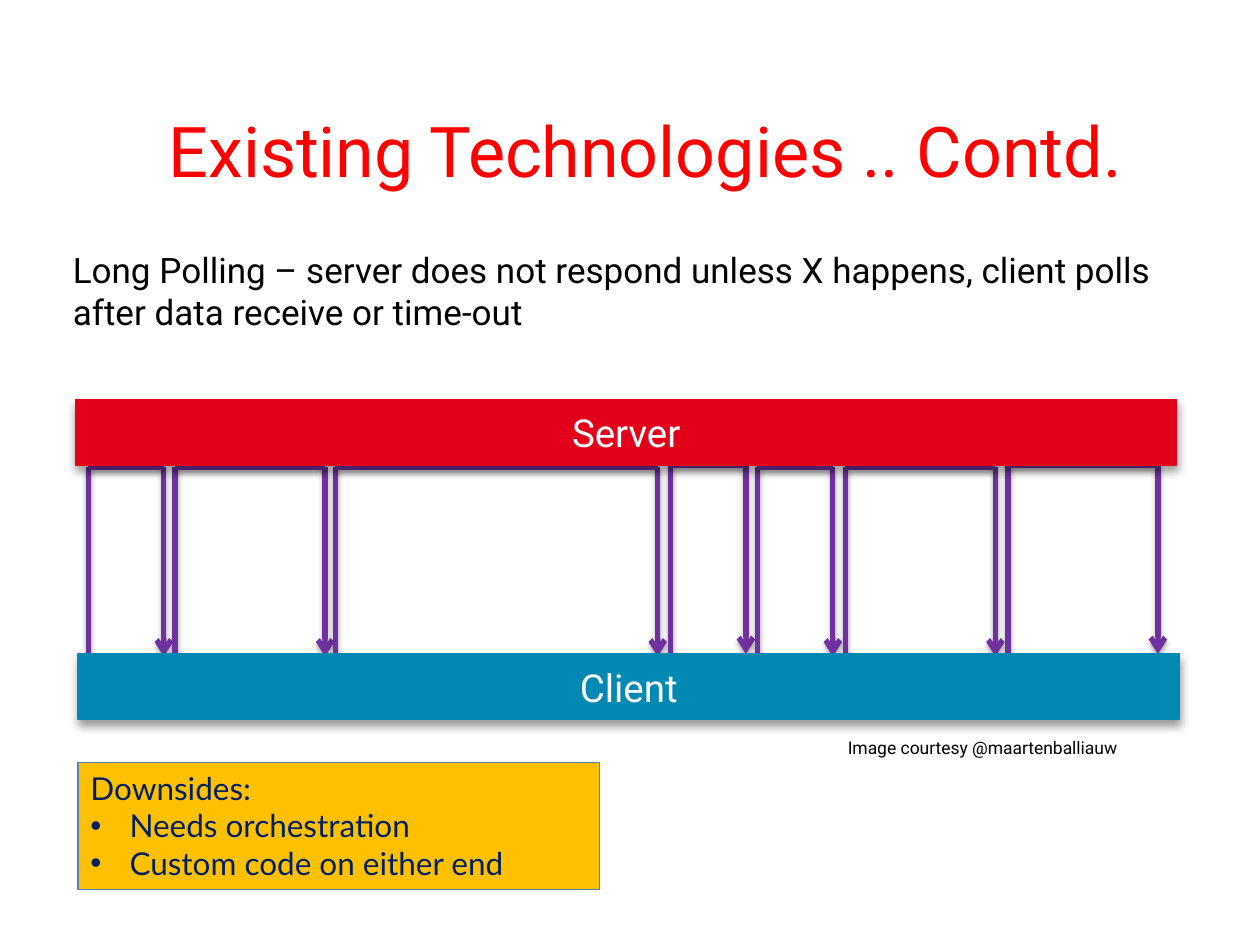
import pptx
import pptx.util
import pptx.dml.color
import pptx.enum.shapes
import pptx.enum.text
import pptx.oxml
import pptx.oxml.ns

RGBColor = pptx.dml.color.RGBColor
Inches = pptx.util.Inches
Pt = pptx.util.Pt
Align = pptx.enum.text.PP_ALIGN
Anchor = pptx.enum.text.MSO_ANCHOR
Rectangle = pptx.enum.shapes.MSO_SHAPE.RECTANGLE
Straight = pptx.enum.shapes.MSO_CONNECTOR.STRAIGHT

RED = RGBColor(0xFF, 0x00, 0x00)
BLACK = RGBColor(0x00, 0x00, 0x00)
WHITE = RGBColor(0xFF, 0xFF, 0xFF)
PURPLE = RGBColor(0x70, 0x30, 0xA0)
TEAL = RGBColor(0x01, 0x89, 0xB4)
CRIMSON = RGBColor(0xE2, 0x00, 0x1A)
AMBER = RGBColor(0xFF, 0xC0, 0x00)
BLUE = RGBColor(0x4F, 0x81, 0xBD)
NAVY = RGBColor(0x00, 0x20, 0x60)

TITLE = "Existing Technologies .. Contd."
SUMMARY = ("Long Polling – server does not respond unless X happens, "
           "client polls after data receive or time-out")
CREDIT = "Image courtesy @maartenballiauw"
DOWNSIDES = ["Downsides:", "Needs orchestration", "Custom code on either end"]

BARS = [("Client", 0.62, 5.19, TEAL), ("Server", 0.6, 3.17, CRIMSON)]
BAR_WIDTH, BAR_HEIGHT = 8.74, 0.52
POLLS = [
    (0.7, 1.3, 3.71),
    (1.39, 2.58, 3.71),
    (2.66, 5.22, 3.71),
    (5.32, 5.92, 3.69),
    (6.01, 6.61, 3.71),
    (6.71, 7.9, 3.71),
    (8, 9.19, 3.69),
]
POLL_HEIGHT = 1.5
LINE_SHADOW = (35, 3.1, 1.8)
BAR_SHADOW = (40, 5.2, 3)

FORMATS = {
    "title": {"size": Pt(40), "name": "Roboto", "color": RED},
    "summary": {"size": Pt(20), "name": "Roboto", "color": BLACK},
    "credit": {"size": Pt(10), "name": "Roboto", "color": BLACK},
    "bar": {"size": Pt(22), "name": "Roboto", "color": WHITE},
    "downsides": {"size": Pt(18), "name": "Lato", "color": NAVY},
}


def write(box, lines, style, align=Align.LEFT, anchor=Anchor.TOP, bullets_from=None):
    frame = box.text_frame
    frame.word_wrap = True
    frame.vertical_anchor = anchor
    frame.text = "\n".join(lines)
    for number, para in enumerate(frame.paragraphs):
        para.alignment = align
        if bullets_from is not None and number >= bullets_from:
            add_bullet(para)
        for span in para.runs:
            for name, value in FORMATS[style].items():
                if name == "color":
                    span.font.color.rgb = value
                else:
                    setattr(span.font, name, value)


def add_bullet(para):
    properties = para._p.get_or_add_pPr()
    properties.set("marL", str(Inches(0.31)))
    properties.set("indent", str(-Inches(0.31)))
    namespace = pptx.oxml.ns.nsdecls("a")
    for element in ('buFont %s typeface="Arial"', 'buChar %s char="•"'):
        properties.append(pptx.oxml.parse_xml(f"<a:{element % namespace}/>"))


def add_shadow(shape, opacity, blur, distance):
    shape._element.spPr.append(pptx.oxml.parse_xml(
        f'<a:effectLst {pptx.oxml.ns.nsdecls("a")}>'
        f'<a:outerShdw blurRad="{Pt(blur)}" dist="{Pt(distance)}" dir="5400000" rotWithShape="0">'
        f'<a:srgbClr val="{BLACK}"><a:alpha val="{opacity * 1000}"/></a:srgbClr>'
        '</a:outerShdw></a:effectLst>'))


def add_box(page, left, top, width, height, fill, outline):
    box = page.shapes.add_shape(Rectangle, *map(Inches, (left, top, width, height)))
    box.fill.solid()
    box.fill.fore_color.rgb = fill
    box.line.color.rgb = outline
    box.line.width = Pt(0.75)
    return box


def add_poll(page, left, right, top):
    group = page.shapes.add_group_shape()
    bottom = top + POLL_HEIGHT
    sides = [
        (left, top, left, bottom, False),
        (right, top, right, bottom, True),
        (left, top, right, top, False),
    ]
    for *ends, has_arrow in sides:
        line = group.shapes.add_connector(Straight, *map(Inches, ends))
        line.line.color.rgb = PURPLE
        line.line.width = Pt(3)
        if has_arrow:
            line.line._get_or_add_ln().append(pptx.oxml.parse_xml(
                f'<a:tailEnd {pptx.oxml.ns.nsdecls("a")} type="arrow"/>'))
        add_shadow(line, *LINE_SHADOW)


def add_text(page, left, top, width, height, text, style):
    box = page.shapes.add_textbox(*map(Inches, (left, top, width, height)))
    write(box, [text], style)


def main():
    deck = pptx.Presentation()
    deck.slide_width, deck.slide_height = Inches(10), Inches(7.5)
    page = deck.slides.add_slide(deck.slide_layouts[5])

    title = page.shapes.title
    place = {"left": 0.62, "top": 0.56, "width": 9, "height": 1.25}
    for name, value in place.items():
        setattr(title, name, Inches(value))
    write(title, [TITLE], "title", Align.CENTER, Anchor.MIDDLE)

    add_text(page, 0.48, 1.92, 9, 1, SUMMARY, "summary")
    add_text(page, 6.63, 5.8, 2.71, 0.27, CREDIT, "credit")

    for poll in POLLS:
        add_poll(page, *poll)

    for label, left, top, color in BARS:
        bar = add_box(page, left, top, BAR_WIDTH, BAR_HEIGHT, color, color)
        add_shadow(bar, *BAR_SHADOW)
        write(bar, [label], "bar", Align.CENTER, Anchor.MIDDLE)

    panel = add_box(page, 0.62, 6.05, 4.14, 1.01, AMBER, BLUE)
    panel.shadow.inherit = False
    write(panel, DOWNSIDES, "downsides", bullets_from=1)

    deck.save("out.pptx")


if __name__ == "__main__":
    main()
